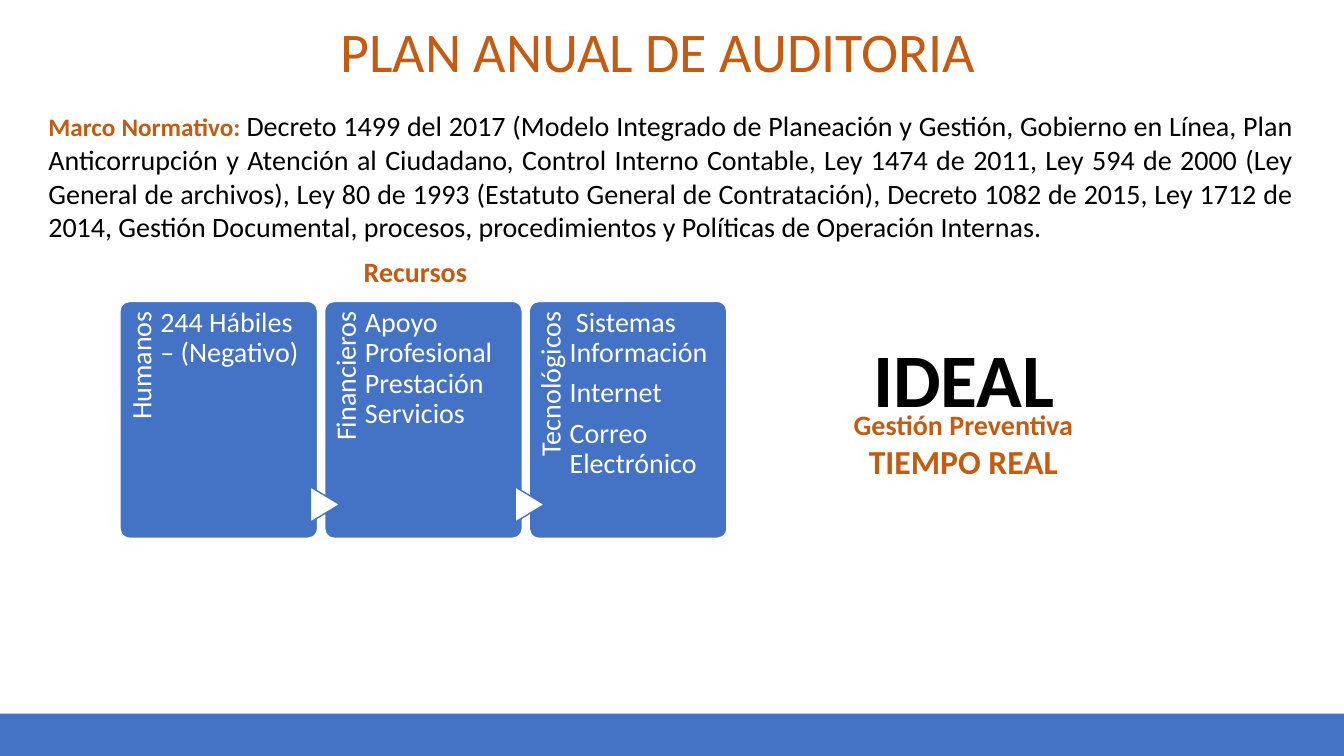
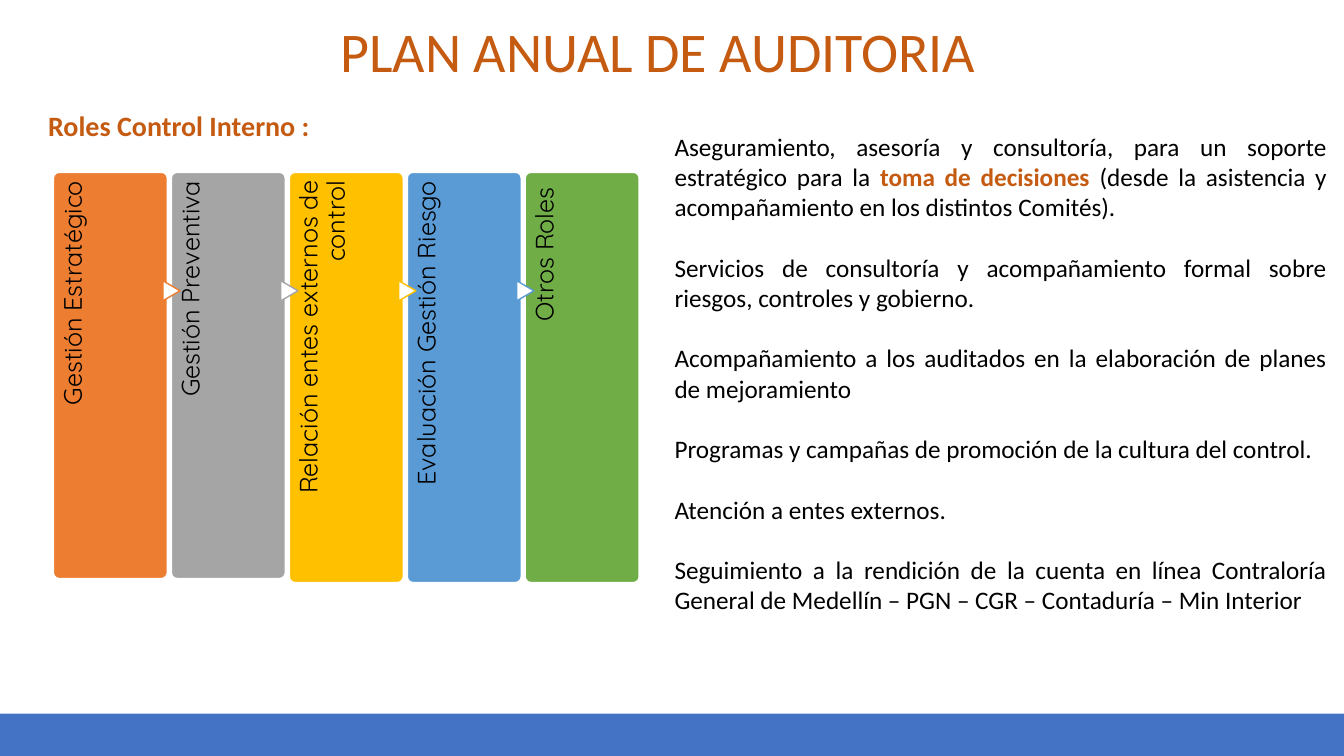
from dataclasses import dataclass
from typing import Optional

from lxml import etree
from pptx import Presentation, util as u
from pptx.dml.color import RGBColor
from pptx.enum import shapes, text
from pptx.oxml import ns

EMU_PER_PX = 9144  # 100 px to the inch
SLIDE_WIDTH, SLIDE_HEIGHT = 1333, 750
BAND_TOP = 708
TITLE_AND_BODY = 1

BLUE = RGBColor(0x44, 0x72, 0xC4)
RUST = RGBColor(0xC5, 0x5A, 0x11)
ORANGE = RGBColor(0xED, 0x7D, 0x31)
GRAY = RGBColor(0xA5, 0xA5, 0xA5)
GOLD = RGBColor(0xFF, 0xC0, 0x00)
SKY = RGBColor(0x5B, 0x9B, 0xD5)
GREEN = RGBColor(0x70, 0xAD, 0x47)
BLACK = RGBColor(0, 0, 0)
WHITE = RGBColor(0xFF, 0xFF, 0xFF)

LEFT, CENTER = text.PP_ALIGN.LEFT, text.PP_ALIGN.CENTER
RIGHT, JUSTIFY = text.PP_ALIGN.RIGHT, text.PP_ALIGN.JUSTIFY


@dataclass(frozen=True)
class Style:
    size: int
    color: RGBColor = BLACK
    bold: bool = False
    family: str = "Calibri"


@dataclass(frozen=True)
class Span:
    words: str
    style: Style


@dataclass(frozen=True)
class Box:
    left: int
    top: int
    width: int
    height: int


@dataclass(frozen=True)
class Flow:
    """Layout shared by the cards of one left-to-right sequence."""
    left: int
    top: int
    card_width: int
    pitch: int
    arrow_center_y: int
    arrow_width: int
    arrow_height: int
    label_inset: int
    label_style: Style


@dataclass(frozen=True)
class Card:
    label: str
    color: RGBColor
    height: int
    details: tuple[str, ...] = ()


Paragraph = tuple[Span, ...]

TITLE = Style(40, RUST)
HEADING = Style(20, RUST, bold=True)
NORMS = Style(20)
BODY = Style(18)
EMPHASIS = Style(18, RUST, bold=True)
CARD_TEXT = Style(20, WHITE)
ROLE_LABEL = Style(18, family="Quicksand")

RESOURCE_FLOW = Flow(119, 299, 196, 203, 500, 35, 29, 10, CARD_TEXT)
RESOURCES = (
    Card("Humanos", BLUE, 235, ("244 Hábiles – (Negativo)",)),
    Card("Financieros", BLUE, 235, ("Apoyo Profesional Prestación Servicios",)),
    Card("Tecnológicos", BLUE, 235,
         (" Sistemas Información", "Internet", "Correo Electrónico")),
)
ROLE_FLOW = Flow(53, 171, 113, 117, 288, 20, 17, 9, ROLE_LABEL)
ROLES = (
    Card("Gestión Estratégico", ORANGE, 403),
    Card("Gestión Preventiva", GRAY, 403),
    Card("Relación entes externos de control", GOLD, 407),
    Card("Evaluación Gestión Riesgo", SKY, 407),
    Card("Otros Roles ", GREEN, 407),
)
NORMATIVE_FRAMEWORK: Paragraph = (
    Span("Marco Normativo: ", EMPHASIS),
    Span("Decreto 1499 del 2017 (Modelo Integrado de Planeación y Gestión, "
         "Gobierno en Línea, Plan Anticorrupción y Atención al Ciudadano, "
         "Control Interno Contable, Ley 1474 de 2011, Ley 594 de 2000 (Ley "
         "General de archivos), Ley 80 de 1993 (Estatuto General de "
         "Contratación), Decreto 1082 de 2015, Ley 1712 de 2014, Gestión "
         "Documental, procesos, procedimientos y Políticas de Operación "
         "Internas.", NORMS),
)
SERVICES: tuple[Paragraph, ...] = (
    (Span("Aseguramiento, asesoría y consultoría, para un soporte "
          "estratégico para la ", BODY),
     Span("toma de decisiones ", EMPHASIS),
     Span("(desde la asistencia y acompañamiento en los distintos Comités).",
          BODY)),
    (Span("Servicios de consultoría y acompañamiento formal sobre riesgos, "
          "controles y gobierno.", BODY),),
    (Span("Acompañamiento a los auditados en la elaboración de planes de "
          "mejoramiento", BODY),),
    (Span("Programas y campañas de promoción de la cultura del control.",
          BODY),),
    (Span("Atención a entes externos.", BODY),),
    (Span("Seguimiento a la rendición de la cuenta en línea Contraloría "
          "General de Medellín – PGN – CGR – Contaduría – Min Interior",
          BODY),),
)


def px(length: int) -> u.Emu:
    return u.Emu(length * EMU_PER_PX)


def place(shape, box: Box) -> None:
    shape.left, shape.top = px(box.left), px(box.top)
    shape.width, shape.height = px(box.width), px(box.height)


def apply_style(font, style: Style) -> None:
    font.name, font.size, font.bold = style.family, u.Pt(style.size), style.bold
    font.color.rgb = style.color


def remove_bullet(paragraph) -> None:
    properties = paragraph._p.get_or_add_pPr()
    properties.set("marL", "0")
    properties.set("indent", "0")
    no_bullet = etree.Element(ns.qn("a:buNone"))
    properties.insert_element_before(no_bullet, "a:tabLst", "a:defRPr", "a:extLst")


def write(shape, paragraphs: tuple[Paragraph, ...], align=LEFT,
          gap: float = 0, line_spacing: float = 1.0,
          insets: tuple[int, int, int, int] = (10, 5, 10, 5)) -> None:
    """Fill a shape with paragraphs; gap is in points, insets run l, t, r, b."""
    frame = shape.text_frame
    frame.word_wrap = True
    frame.auto_size = text.MSO_AUTO_SIZE.NONE
    frame.vertical_anchor = text.MSO_ANCHOR.TOP
    (frame.margin_left, frame.margin_top,
     frame.margin_right, frame.margin_bottom) = map(px, insets)
    for index, spans in enumerate(paragraphs):
        paragraph = frame.add_paragraph() if index else frame.paragraphs[0]
        paragraph.alignment = align
        paragraph.line_spacing = line_spacing
        paragraph.space_before, paragraph.space_after = u.Pt(0), u.Pt(gap)
        if shape.is_placeholder:
            remove_bullet(paragraph)
        uniform = len({span.style for span in spans}) == 1
        if uniform:
            apply_style(paragraph.font, spans[0].style)
        for span in spans:
            run = paragraph.add_run()
            run.text = span.words
            if not uniform:
                apply_style(run.font, span.style)


def add_text(slide, box: Box, paragraphs: tuple[Paragraph, ...], **layout):
    textbox = slide.shapes.add_textbox(0, 0, 0, 0)
    place(textbox, box)
    write(textbox, paragraphs, **layout)
    return textbox


def add_shape(slide, kind, box: Box, fill: RGBColor,
              line: Optional[RGBColor] = None):
    shape = slide.shapes.add_shape(kind, 0, 0, 0, 0)
    place(shape, box)
    shape.shadow.inherit = False
    shape.fill.solid()
    shape.fill.fore_color.rgb = fill
    if line is None:
        shape.line.fill.background()
    else:
        shape.line.color.rgb = line
        shape.line.width = u.Pt(1)
    return shape


def add_card(slide, flow: Flow, card: Card, left: int) -> None:
    box = Box(left, flow.top, flow.card_width, card.height)
    panel = add_shape(slide, shapes.MSO_SHAPE.ROUNDED_RECTANGLE, box,
                      card.color, WHITE)
    panel.adjustments[0] = 0.05

    strip, length = round(flow.card_width * 0.2), round(card.height * 0.82)
    label_box = Box(left + (strip - length) // 2,
                    flow.top + (length - strip) // 2, length, strip)
    label = add_text(slide, label_box, ((Span(card.label, flow.label_style),),),
                     align=RIGHT, line_spacing=0.9,
                     insets=(0, 7, flow.label_inset, 0))
    label.rotation = 270

    if card.details:
        details_box = Box(left + strip + 1, flow.top,
                          round(flow.card_width * 0.745), card.height)
        add_text(slide, details_box,
                 tuple((Span(detail, CARD_TEXT),) for detail in card.details),
                 gap=7, line_spacing=0.9, insets=(0, 7, 0, 0))


def add_flow(slide, flow: Flow, cards: tuple[Card, ...]) -> None:
    """Draw the cards, each joined to the one before by an arrowhead."""
    for index, card in enumerate(cards):
        left = flow.left + index * flow.pitch
        add_card(slide, flow, card, left)
        if index:
            arrow_box = Box(left - flow.arrow_width // 2,
                            flow.arrow_center_y - flow.arrow_height // 2,
                            flow.arrow_width, flow.arrow_height)
            arrow = add_shape(slide, shapes.MSO_SHAPE.FLOWCHART_EXTRACT,
                              arrow_box, WHITE, cards[index - 1].color)
            arrow.rotation = 90


def add_plan_slide(deck, body_box: Box, body: tuple[Paragraph, ...],
                   gap: float = 0):
    """Add a slide with the shared title and band, and a justified body."""
    slide = deck.slides.add_slide(deck.slide_layouts[TITLE_AND_BODY])
    add_shape(slide, shapes.MSO_SHAPE.RECTANGLE,
              Box(0, BAND_TOP, SLIDE_WIDTH, SLIDE_HEIGHT - BAND_TOP), BLUE)
    title = slide.shapes.title
    place(title, Box(19, 11, 1267, 77))
    write(title, ((Span("PLAN ANUAL DE AUDITORIA", TITLE),),), align=CENTER)
    content = slide.placeholders[1]
    place(content, body_box)
    write(content, body, align=JUSTIFY, gap=gap)
    return slide


def add_resources_slide(deck) -> None:
    slide = add_plan_slide(deck, Box(38, 103, 1255, 145), (NORMATIVE_FRAMEWORK,))
    add_flow(slide, RESOURCE_FLOW, RESOURCES)
    add_text(slide, Box(119, 248, 586, 44), ((Span("Recursos", HEADING),),),
             align=CENTER)
    add_text(slide, Box(672, 399, 567, 84),
             ((Span("Gestión Preventiva", HEADING),),
              (Span("TIEMPO REAL", Style(24, RUST, bold=True)),)),
             align=CENTER)
    add_text(slide, Box(855, 324, 202, 101),
             ((Span("IDEAL", Style(54, bold=True)),),), align=CENTER)


def add_roles_slide(deck) -> None:
    slide = add_plan_slide(deck, Box(659, 125, 667, 495), SERVICES, gap=21.6)
    add_text(slide, Box(38, 103, 560, 44),
             ((Span("Roles Control Interno :", HEADING),),))
    add_flow(slide, ROLE_FLOW, ROLES)


def main() -> None:
    deck = Presentation()
    deck.slide_width, deck.slide_height = px(SLIDE_WIDTH), px(SLIDE_HEIGHT)
    add_resources_slide(deck)
    add_roles_slide(deck)
    deck.save("out.pptx")


if __name__ == "__main__":
    main()
